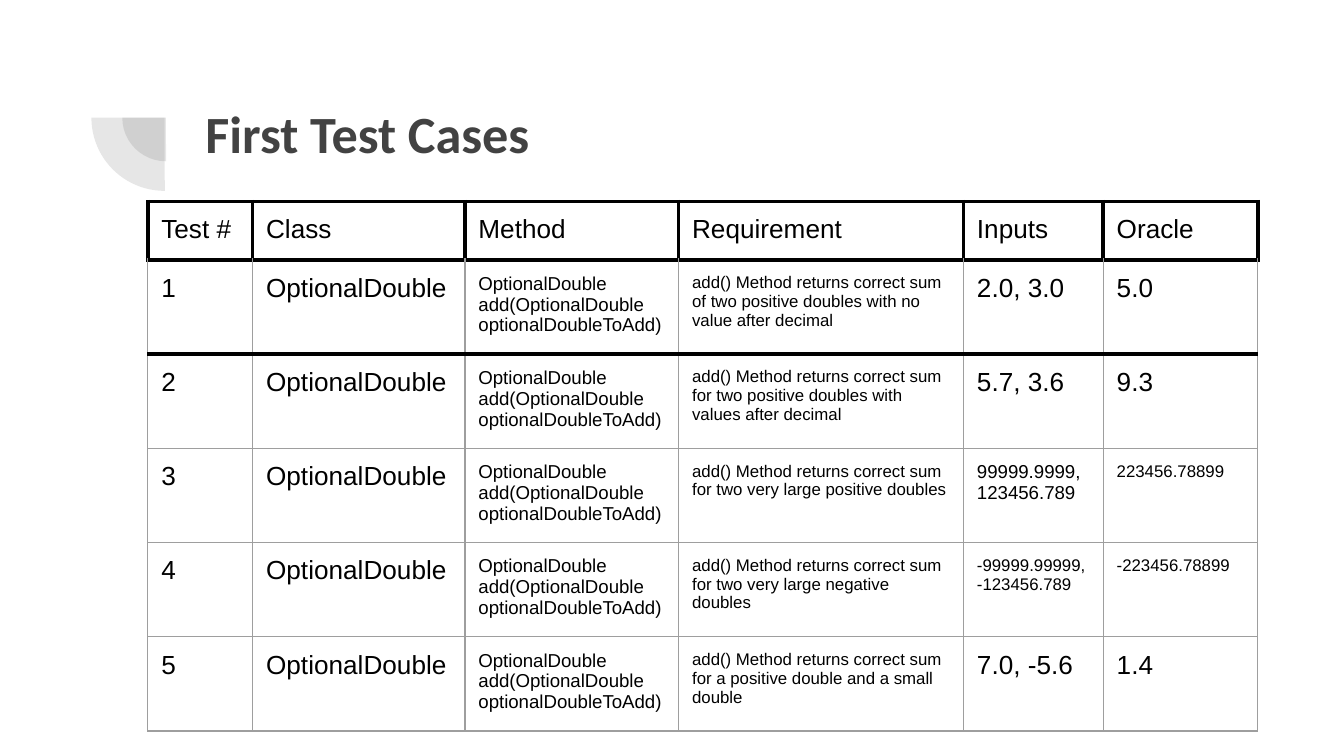
from lxml import etree
from pptx import Presentation
from pptx.dml.color import RGBColor
from pptx.enum.shapes import MSO_SHAPE
from pptx.enum.text import MSO_ANCHOR
from pptx.oxml.ns import qn
from pptx.util import Inches, Pt

PIE = MSO_SHAPE.PIE
TOP = MSO_ANCHOR.TOP
COLORS = {"title": "424242", "text": "000000", "heavy": "000000", "grid": "9E9E9E"}
HEAVY = ("heavy", 2.25)
THIN = ("grid", 0.75)
INSET = Inches(0.1)

HEADERS = ["Test #", "Class", "Method", "Requirement", "Inputs", "Oracle"]
COLUMN_WIDTHS = [0.78, 1.58, 1.59, 2.12, 1.04, 1.15]
ROW_HEIGHT = 0.42  # minimum; rows grow with their text
CLASS_NAME = "OptionalDouble"
METHOD = "OptionalDouble add(OptionalDouble optionalDoubleToAdd)"
REQUIREMENT = "add() Method returns correct sum "

# Requirement ending, inputs, oracle, size of inputs, size of oracle
CASES = [
    ("of two positive doubles with no value after decimal", "2.0, 3.0", "5.0", 14, 14),
    ("for two positive doubles with values after decimal", "5.7, 3.6", "9.3", 14, 14),
    ("for two very large positive doubles", "99999.9999,123456.789", "223456.78899", 10, 9),
    ("for two very large negative doubles", "-99999.99999, -123456.789", "-223456.78899", 9, 9),
    ("for a positive double and a small double", "7.0, -5.6", "1.4", 14, 14),
]


def write_text(frame, text, *, size, font="Arial", color="text", bold=False):
    frame.word_wrap = True
    run = frame.paragraphs[0].add_run()
    run.text = text
    run.font.size = Pt(size)
    run.font.name = font
    run.font.bold = bold
    run.font.color.rgb = RGBColor.from_string(COLORS[color])


class SlideBuilder:
    def __init__(self, slide):
        self.slide = slide

    def title(self, text, left, top, width, height):
        frame = self.slide.shapes.add_textbox(
            Inches(left), Inches(top), Inches(width), Inches(height)).text_frame
        frame.margin_left = frame.margin_right = INSET
        frame.margin_top = frame.margin_bottom = INSET
        frame.vertical_anchor = TOP
        write_text(frame, text, size=28, font="Calibri", color="title", bold=True)

    def quarter(self, left, top, diameter):
        pie = self.slide.shapes.add_shape(
            PIE, Inches(left), Inches(top), Inches(diameter), Inches(diameter))
        pie.adjustments[0], pie.adjustments[1] = 107.93, 162
        pie.rotation = 270
        pie.shadow.inherit = False
        pie.line.fill.background()
        pie.fill.solid()
        pie.fill.fore_color.rgb = RGBColor.from_string(COLORS["title"])
        color = pie.fill._xPr.find(".//" + qn("a:srgbClr"))
        etree.SubElement(color, qn("a:alpha"), val="13000")

    def borders(self, cell, **sides):
        properties = cell._tc.get_or_add_tcPr()
        for index, side in enumerate("LRTB"):
            color, width = sides[side]
            line = etree.Element(qn("a:ln" + side), w=str(Pt(width)))
            fill = etree.SubElement(line, qn("a:solidFill"))
            etree.SubElement(fill, qn("a:srgbClr"), val=COLORS[color])
            properties.insert(index, line)

    def table(self, rows, widths, row_height, left, top, extent):
        holder = self.slide.shapes.add_table(
            len(rows), len(widths), Inches(left), Inches(top),
            Inches(extent), Inches(extent))
        table = holder.table
        table.first_row = table.horz_banding = False
        for column, width in zip(table.columns, widths):
            column.width = Inches(width)
        for r, row in enumerate(rows):
            table.rows[r].height = Inches(row_height)
            # Heavy lines frame the header and close the first case
            side = HEAVY if r == 0 else THIN
            above = HEAVY if r <= 2 else THIN
            below = HEAVY if r <= 1 else THIN
            for c, (text, size) in enumerate(row):
                cell = table.cell(r, c)
                cell.margin_left = cell.margin_right = INSET
                cell.margin_top = cell.margin_bottom = INSET
                cell.vertical_anchor = TOP
                cell.fill.background()
                write_text(cell.text_frame, text, size=size)
                self.borders(cell, L=side, R=side, T=above, B=below)
        holder.width = holder.height = Inches(extent)


def main():
    deck = Presentation()
    deck.slide_width, deck.slide_height = Inches(10), Inches(10 * 9 / 16)
    builder = SlideBuilder(deck.slides.add_slide(deck.slide_layouts[6]))

    # Corner ornament
    builder.quarter(0.91, 0.55, 0.65)
    builder.quarter(0.68, 0.33, 1.09)

    # Heading
    builder.title("First Test Cases", 1.43, 0.65, 7.69, 1.09)

    # Test cases
    rows = [[(header, 14) for header in HEADERS]]
    for number, (ending, inputs, oracle, inputs_size, oracle_size) in enumerate(CASES, 1):
        rows.append([(str(number), 14), (CLASS_NAME, 14), (METHOD, 10),
                     (REQUIREMENT + ending, 9), (inputs, inputs_size), (oracle, oracle_size)])
    builder.table(rows, COLUMN_WIDTHS, ROW_HEIGHT, 1.1, 1.5, 3.28)

    deck.save("out.pptx")


if __name__ == "__main__":
    main()
